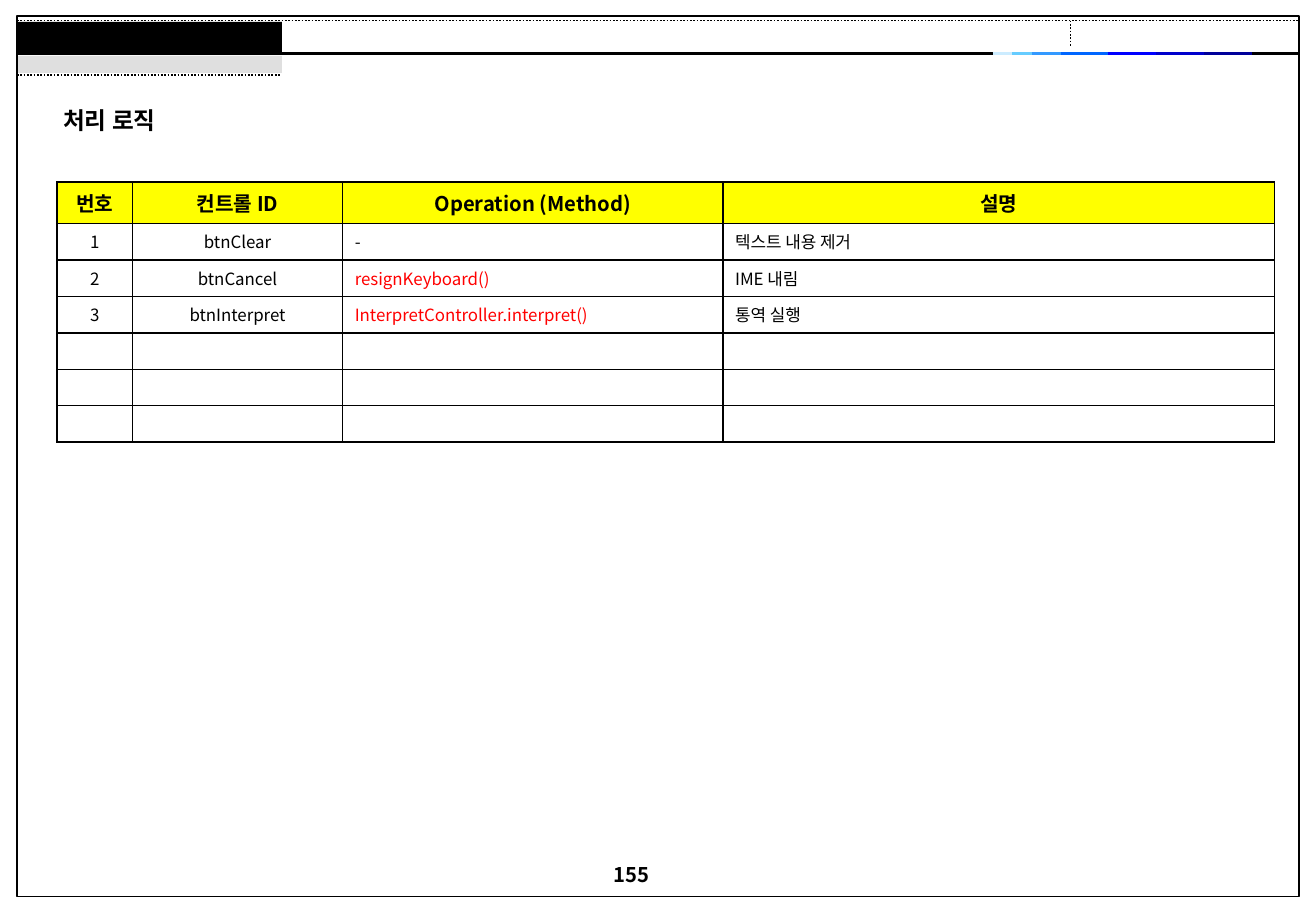
import pptx
import pptx.util
import pptx.dml.color
import pptx.enum.dml
import pptx.enum.shapes
import pptx.enum.text
import pptx.oxml.ns
from lxml import etree

Inches = pptx.util.Inches
Pt = pptx.util.Pt
PP_ALIGN = pptx.enum.text.PP_ALIGN
MIDDLE = pptx.enum.text.MSO_ANCHOR.MIDDLE
RECTANGLE = pptx.enum.shapes.MSO_SHAPE.RECTANGLE
STRAIGHT = pptx.enum.shapes.MSO_CONNECTOR.STRAIGHT
qn = pptx.oxml.ns.qn
FONT = "Noto Sans CJK KR"


def rgb(value):
    return pptx.dml.color.RGBColor.from_string(value)


def write(frame, text, size, bold=False, color="000000", align=PP_ALIGN.LEFT):
    frame.text = text
    paragraph = frame.paragraphs[0]
    paragraph.alignment = align
    for run in paragraph.runs:
        run.font.size = Pt(size)
        run.font.bold = bold
        run.font.color.rgb = rgb(color)
        run.font.name = FONT
        etree.SubElement(run.font._element, qn("a:ea"), typeface=FONT)
    if not text:
        etree.SubElement(paragraph._p, qn("a:endParaRPr"), sz=str(size * 100))


prs = pptx.Presentation()
prs.slide_width = Inches(10.83)
prs.slide_height = Inches(7.5)
slide = prs.slides.add_slide(prs.slide_layouts[5])
shapes = slide.shapes

page_frame = shapes.add_shape(RECTANGLE, Inches(0.14), Inches(0.13), Inches(10.55), Inches(7.25))
page_frame.shadow.inherit = False
page_frame.fill.background()
page_frame.line.color.rgb = rgb("000000")
page_frame.line.width = Pt(1)

rules = [
    (0.14, 0.44, 10.69, 0.44, "000000", 2.25),
    (0.14, 0.17, 10.69, 0.17, "000000", 1),
    (8.81, 0.17, 8.81, 0.38, "000000", 1),
    (0.14, 0.62, 2.31, 0.62, "000000", 1),
]
accent_stops = [8.17, 8.33, 8.49, 8.73, 9.12, 9.51, 9.91, 10.3]
accent_colors = ["CCECFF", "66CCFF", "3399FF", "0066FF", "0000FF", "0000CC", "000099"]
for start, end, color in zip(accent_stops, accent_stops[1:], accent_colors):
    rules.append((start, 0.44, end, 0.44, color, 2.25))

for x1, y1, x2, y2, color, width in rules:
    rule = shapes.add_connector(STRAIGHT, Inches(x1), Inches(y1), Inches(x2), Inches(y2))
    rule.line.color.rgb = rgb(color)
    rule.line.width = Pt(width)
    if width == 1:
        rule.line.dash_style = pptx.enum.dml.MSO_LINE.ROUND_DOT
    etree.SubElement(rule._element.spPr, qn("a:effectLst"))

for top, height, color in [(0.18, 0.25, "000000"), (0.46, 0.14, "DFDFDF")]:
    header_band = shapes.add_shape(RECTANGLE, Inches(0.15), Inches(top), Inches(2.17), Inches(height))
    header_band.shadow.inherit = False
    header_band.fill.solid()
    header_band.fill.fore_color.rgb = rgb(color)
    header_band.line.fill.background()

page_number = shapes.add_textbox(Inches(4.95), Inches(7.05), Inches(0.94), Inches(0.44))
page_number.text_frame.word_wrap = True
write(page_number.text_frame, "155", 12, bold=True)

heading = shapes.title
heading.left, heading.top = Inches(0.42), Inches(0.82)
heading.width, heading.height = Inches(2.01), Inches(0.34)
heading.text_frame.vertical_anchor = MIDDLE
write(heading.text_frame, "처리 로직", 14, bold=True)

logic_rows = [
    ["번호", "컨트롤 ID", "Operation (Method)", "설명"],
    ["1", "btnClear", "-", "텍스트 내용 제거"],
    ["2", "btnCancel", "resignKeyboard()", "IME 내림"],
    ["3", "btnInterpret", "InterpretController.interpret()", "통역 실행"],
] + [[""] * 4] * 3
column_widths = [0.62, 1.73, 3.13, 4.54]
logic_table = shapes.add_table(
    len(logic_rows), len(column_widths), Inches(0.47), Inches(1.5), Inches(10.02), Inches(2.14)
).table
for column, width in zip(logic_table.columns, column_widths):
    column.width = Inches(width)

for r, texts in enumerate(logic_rows):
    is_header = r == 0
    logic_table.rows[r].height = Inches(0.34 if is_header else 0.3)
    for c, text in enumerate(texts):
        cell = logic_table.cell(r, c)
        cell.vertical_anchor = MIDDLE
        write(
            cell.text_frame,
            text,
            12 if is_header else 10,
            bold=is_header,
            color="FF0000" if text.endswith("()") else "000000",
            align=PP_ALIGN.CENTER if is_header or c < 2 else PP_ALIGN.LEFT,
        )
        cell_properties = cell._tc.get_or_add_tcPr()
        for side in ("a:lnL", "a:lnR", "a:lnT", "a:lnB"):
            border = etree.SubElement(cell_properties, qn(side), w=str(Pt(1)))
            border_fill = etree.SubElement(border, qn("a:solidFill"))
            etree.SubElement(border_fill, qn("a:srgbClr"), val="000000")
        if is_header:
            cell.fill.solid()
            cell.fill.fore_color.rgb = rgb("FFFF00")
        else:
            cell.fill.background()

prs.save("out.pptx")
